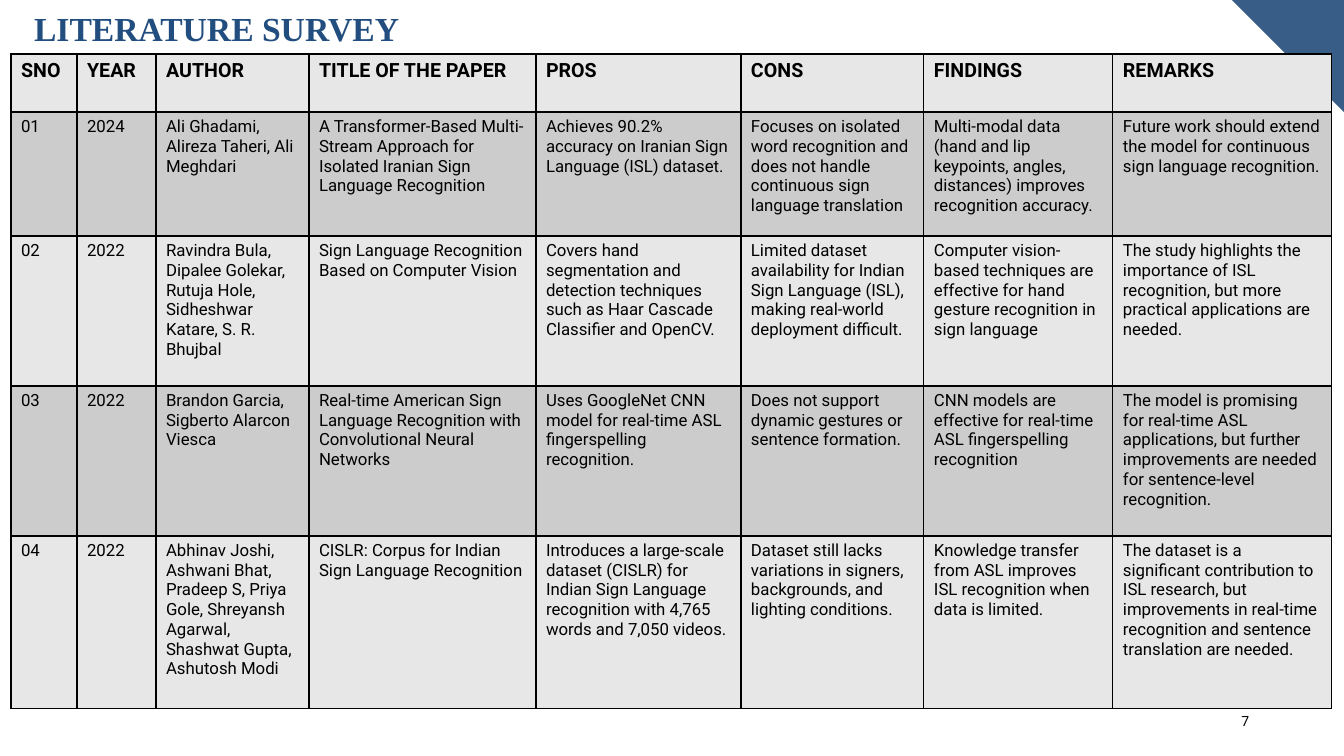
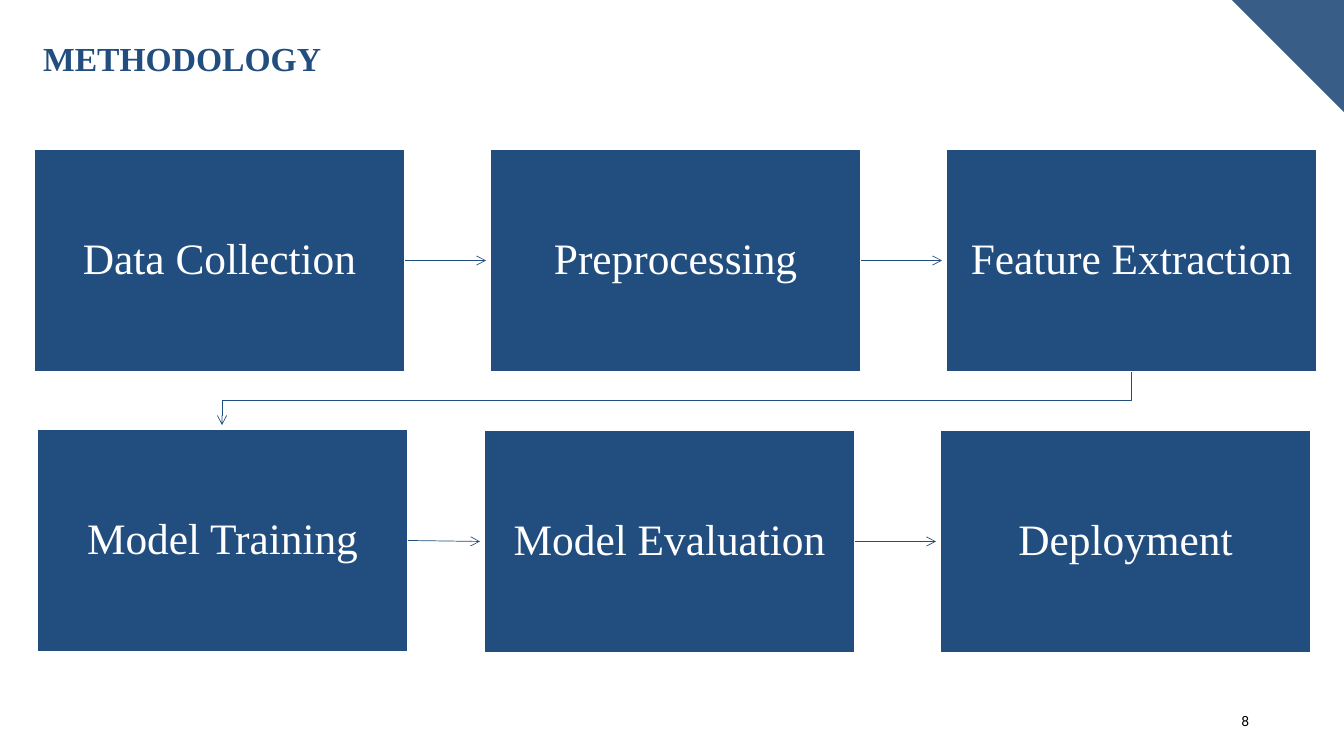
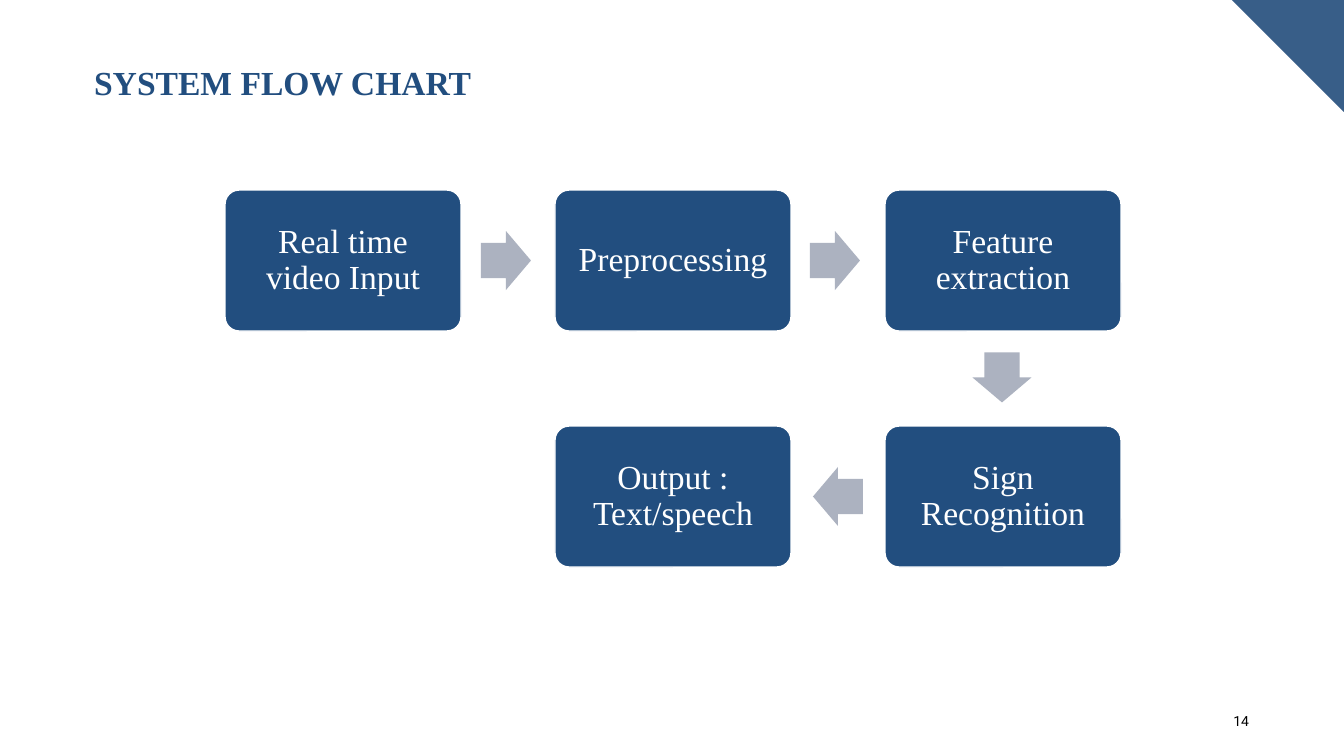
from lxml import etree
from pptx import Presentation
from pptx.dml.color import RGBColor
from pptx.enum.shapes import MSO_CONNECTOR, MSO_SHAPE
from pptx.enum.text import MSO_ANCHOR, MSO_AUTO_SIZE, PP_ALIGN
from pptx.oxml.ns import qn
from pptx.util import Pt

PX = 12192000 / 1344
SERIF, SANS = "Times New Roman", "Roboto"
rgb = RGBColor.from_string
BLUE, CORNER, GREY = rgb("224E7F"), rgb("385E88"), rgb("ACB2C0")
BLACK, WHITE = rgb("000000"), rgb("FFFFFF")
LIGHT_ROW, DARK_ROW = rgb("E7E7E7"), rgb("CCCCCC")


def px(*values):
    """Turn px into a list of EMU lengths."""
    return [round(v * PX) for v in values]


def add_box(slide, kind, text, frame, size):
    sp = slide.shapes.add_shape(kind, *px(*frame))
    sp.shadow.inherit = False
    sp.fill.solid()
    sp.fill.fore_color.rgb = BLUE
    sp.line.color.rgb = WHITE
    sp.line.width = Pt(1)
    tf = sp.text_frame
    tf.word_wrap = True
    tf.margin_left, tf.margin_right = px(14, 14)
    tf.vertical_anchor = MSO_ANCHOR.MIDDLE
    p = tf.paragraphs[0]
    p.text = text
    p.alignment = PP_ALIGN.CENTER
    p.line_spacing = 0.9
    p.font.name, p.font.size = SERIF, Pt(size)
    p.font.color.rgb = WHITE
    return sp


prs = Presentation()
prs.slide_width, prs.slide_height = px(1344, 756)

# Shared frame: title, page number, corner
slides = []
for title, number, frame in [
    ("LITERATURE SURVEY", "7", (24, 7, 1176, 95)),
    ("METHODOLOGY", "8", (33, 37, 1176, 95)),
    ("SYSTEM FLOW CHART", "14", (84, 61, 1176, 132)),
]:
    s = prs.slides.add_slide(prs.slide_layouts[5])
    slides.append(s)
    sp = s.shapes.title
    sp.left, sp.top, sp.width, sp.height = px(*frame)
    tf = sp.text_frame
    tf.auto_size = MSO_AUTO_SIZE.NONE
    tf.vertical_anchor = MSO_ANCHOR.TOP
    p = tf.paragraphs[0]
    p.text = title
    p.alignment = PP_ALIGN.LEFT
    p.line_spacing = 0.9
    p.font.name, p.font.size, p.font.bold = SERIF, Pt(24), True
    p.font.color.rgb = BLUE

    tf = s.shapes.add_textbox(*px(1209, 701, 50, 40)).text_frame
    tf.word_wrap = True
    tf.vertical_anchor = MSO_ANCHOR.MIDDLE
    p = tf.paragraphs[0]
    p.text = number
    p.alignment = PP_ALIGN.RIGHT
    p.font.name, p.font.size = SANS, Pt(10)
    p.font.color.rgb = BLACK
survey, method, flow = slides

# The corner is drawn on a slide, then moved to the master
builder = survey.shapes.build_freeform(1232, 0, scale=PX)
builder.add_line_segments([(1344, 0), (1344, 112)])
corner = builder.convert_to_shape()
corner.shadow.inherit = False
corner.fill.solid()
corner.fill.fore_color.rgb = CORNER
corner.line.fill.background()
corner.element.nvSpPr.cNvPr.set("id", "99")
prs.slide_master.shapes.element.append(corner.element)

# Literature survey
papers = [
    ("SNO", "YEAR", "AUTHOR", "TITLE OF THE PAPER", "PROS", "CONS", "FINDINGS", "REMARKS"),
    ("01", "2024", "Ali Ghadami, Alireza Taheri, Ali Meghdari",
     "A Transformer-Based Multi-Stream Approach for Isolated Iranian Sign Language Recognition",
     "Achieves 90.2% accuracy on Iranian Sign Language (ISL) dataset.",
     "Focuses on isolated word recognition and does not handle continuous sign language translation",
     "Multi-modal data (hand and lip keypoints, angles, distances) improves recognition accuracy.",
     "Future work should extend the model for continuous sign language recognition."),
    ("02", "2022", "Ravindra Bula, Dipalee Golekar, Rutuja Hole, Sidheshwar Katare, S. R. Bhujbal",
     "Sign Language Recognition Based on Computer Vision",
     "Covers hand segmentation and detection techniques such as Haar Cascade Classifier and OpenCV.",
     "Limited dataset availability for Indian Sign Language (ISL), making real-world deployment "
     "difficult.",
     "Computer vision-based techniques are effective for hand gesture recognition in sign language",
     "The study highlights the importance of ISL recognition, but more practical applications "
     "are needed."),
    ("03", "2022", "Brandon Garcia, Sigberto Alarcon Viesca",
     "Real-time American Sign Language Recognition with Convolutional Neural Networks",
     "Uses GoogleNet CNN model for real-time ASL fingerspelling recognition.",
     "Does not support dynamic gestures or sentence formation.",
     "CNN models are effective for real-time ASL fingerspelling recognition",
     "The model is promising for real-time ASL applications, but further improvements are needed "
     "for sentence-level recognition."),
    ("04", "2022",
     "Abhinav Joshi, Ashwani Bhat, Pradeep S, Priya Gole, Shreyansh Agarwal, Shashwat Gupta, "
     "Ashutosh Modi",
     "CISLR: Corpus for Indian Sign Language Recognition",
     "Introduces a large-scale dataset (CISLR) for Indian Sign Language recognition with 4,765 "
     "words and 7,050 videos.",
     "Dataset still lacks variations in signers, backgrounds, and lighting conditions.",
     "Knowledge transfer from ASL improves ISL recognition when data is limited.",
     "The dataset is a significant contribution to ISL research, but improvements in real-time "
     "recognition and sentence translation are needed."),
]
widths = px(66, 79, 153, 227, 205, 183, 189, 219)
heights = px(58, 124, 150, 150, 173)
left, top = px(11, 54)
table = survey.shapes.add_table(
    len(heights), len(widths), left, top, sum(widths), sum(heights)).table
for column, width in zip(table.columns, widths):
    column.width = width
for i, (row, height, texts) in enumerate(zip(table.rows, heights, papers)):
    row.height = height
    for cell, text in zip(row.cells, texts):
        tcPr = cell._tc.get_or_add_tcPr()
        for side in ("a:lnL", "a:lnR", "a:lnT", "a:lnB"):
            ln = etree.SubElement(tcPr, qn(side), w=str(Pt(1)))
            fill = etree.SubElement(ln, qn("a:solidFill"))
            etree.SubElement(fill, qn("a:srgbClr"), val=str(BLACK))
        cell.fill.solid()
        cell.fill.fore_color.rgb = DARK_ROW if i % 2 else LIGHT_ROW
        p = cell.text_frame.paragraphs[0]
        p.text = text
        p.font.name, p.font.size = SANS, Pt(12 if i else 14)
        p.font.bold = i == 0
        p.font.color.rgb = BLACK

# Methodology
steps = [
    ("Data Collection", 34, 149), ("Preprocessing", 490, 149), ("Feature Extraction", 946, 149),
    ("Model Training", 37, 429), ("Model Evaluation", 484, 430), ("Deployment", 940, 430),
]
STEP_W, STEP_H, TIP_GAP = 371, 223, 4
boxes = [add_box(method, MSO_SHAPE.RECTANGLE, text, (x, y, STEP_W, STEP_H), 31)
         for text, x, y in steps]
arrows = []
for i in (0, 1, 3, 4):
    _, x, y = steps[i + 1]
    tip = px(x - TIP_GAP, y + STEP_H / 2)
    arrow = method.shapes.add_connector(MSO_CONNECTOR.STRAIGHT, *tip, *tip)
    arrow.begin_connect(boxes[i], 3)
    arrows.append(arrow)
builder = method.shapes.build_freeform(1131, 372, scale=PX)
builder.add_line_segments([(1131, 400), (222, 400), (222, 425)], close=False)
turn = builder.convert_to_shape()
turn.fill.background()
for arrow in arrows + [turn]:
    arrow.line.color.rgb = BLUE
    arrow.line.width = Pt(0.5)
    spPr = arrow.element.spPr
    etree.SubElement(spPr.find(qn("a:ln")), qn("a:tailEnd"), type="arrow")
    etree.SubElement(spPr, qn("a:effectLst"))

# System flow chart
for text, col, row in [
    ("Real time video Input", 0, 0), ("Preprocessing", 1, 0), ("Feature extraction", 2, 0),
    ("Sign Recognition", 2, 1), ("Output : Text/speech", 1, 1),
]:
    sp = add_box(flow, MSO_SHAPE.ROUNDED_RECTANGLE, text,
                 (225 + 330 * col, 190 + 236 * row, 236, 141), 24)
    sp.adjustments[0] = 0.1
for x, y, turned in [(481, 231, 0), (810, 231, 0), (977, 348, 90), (813, 467, 180)]:
    sp = flow.shapes.add_shape(MSO_SHAPE.RIGHT_ARROW, *px(x, y, 50, 59))
    sp.adjustments[0], sp.adjustments[1] = 0.6, 0.5
    sp.rotation = turned
    sp.shadow.inherit = False
    sp.fill.solid()
    sp.fill.fore_color.rgb = GREY
    sp.line.fill.background()

prs.save("out.pptx")
